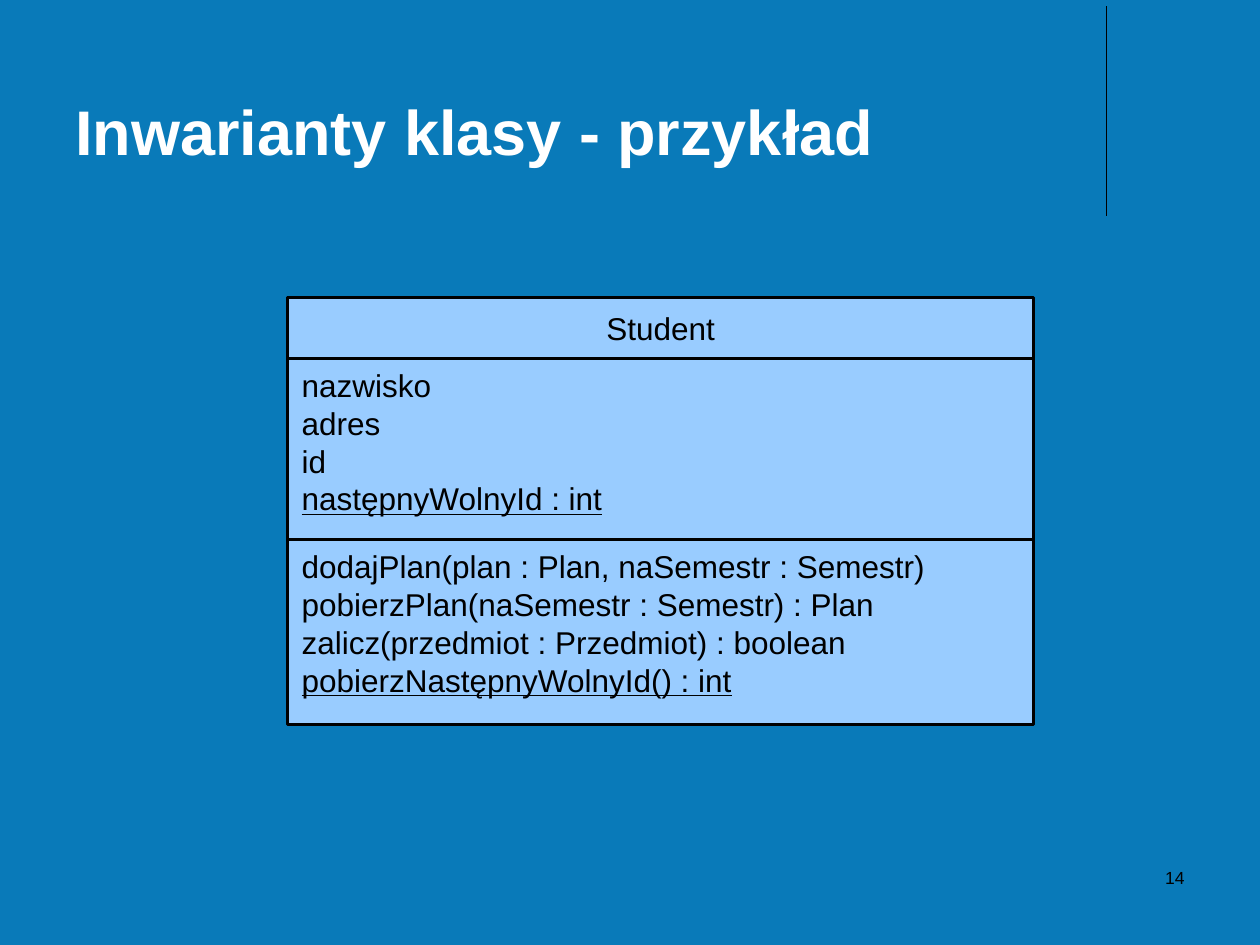
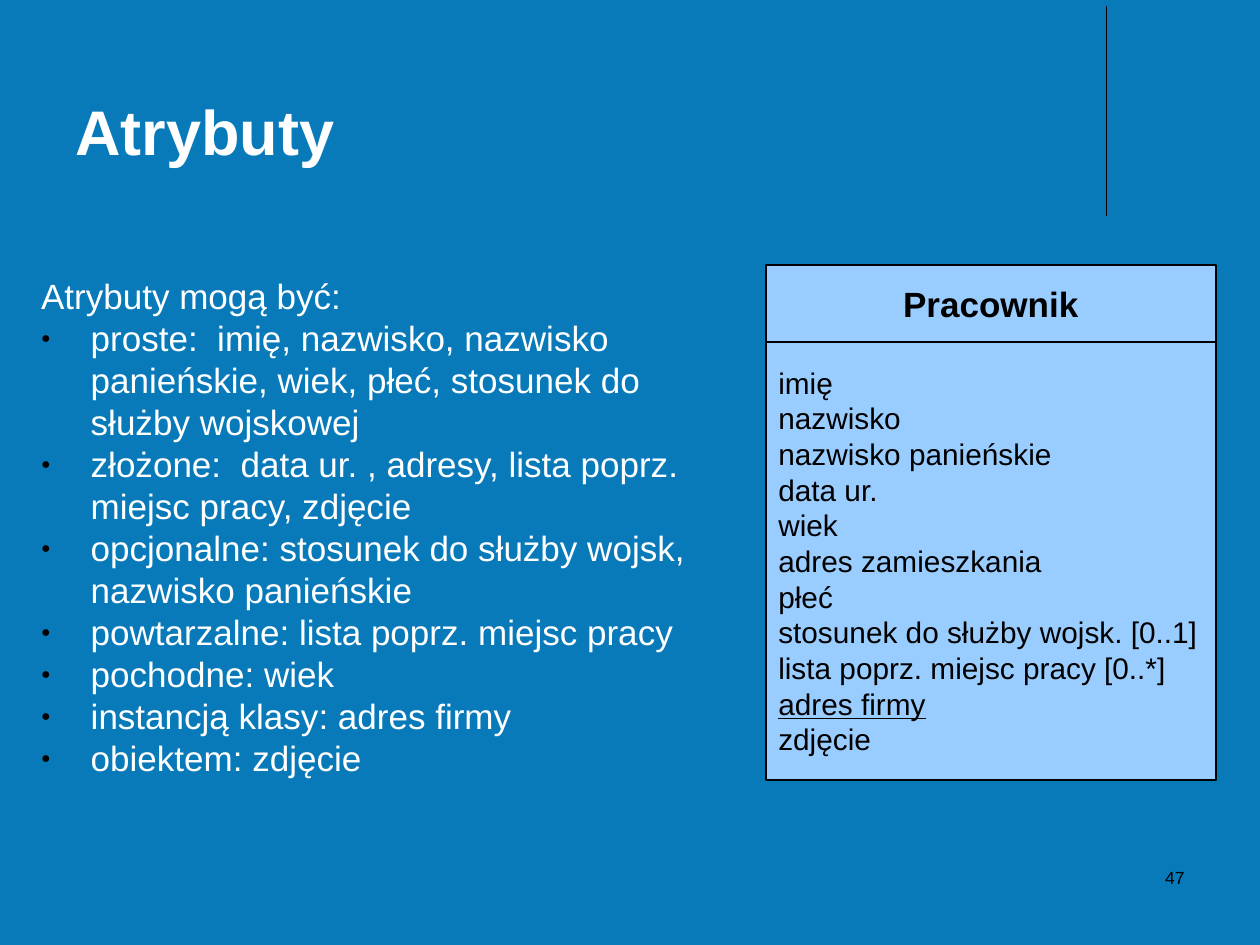
import pptx
import pptx.dml.color
import pptx.enum.shapes
import pptx.enum.text
import pptx.util
from lxml import etree

Cm, Pt = pptx.util.Cm, pptx.util.Pt
RGB = pptx.dml.color.RGBColor.from_string
ALIGN = pptx.enum.text.PP_ALIGN
ANCHOR = pptx.enum.text.MSO_ANCHOR
COLORS = {"background": "097AB9", "box": "99CCFF", "dark": "000000", "light": "FFFFFF"}
FONT = "Arial"
A = "{http://schemas.openxmlformats.org/drawingml/2006/main}"


def write(sp, lines, size, color="dark", bold=False, align=ALIGN.LEFT,
          anchor=ANCHOR.TOP, insets=(0.25, 0.13), underlined=(), bulleted=()):
    tf = sp.text_frame
    tf.word_wrap = True
    tf.vertical_anchor = anchor
    tf.margin_left = tf.margin_right = Cm(insets[0])
    tf.margin_top = tf.margin_bottom = Cm(insets[1])
    for i, line in enumerate(lines):
        p = tf.paragraphs[0] if i == 0 else tf.add_paragraph()
        p.alignment = align
        p.line_spacing = Pt(size * 1.2)
        if line in bulleted:
            pPr = p._p.get_or_add_pPr()
            pPr.set("marL", str(Cm(1)))
            pPr.set("indent", str(-Cm(1)))
            buClr = etree.SubElement(pPr, A + "buClr")
            etree.SubElement(buClr, A + "srgbClr", val=COLORS["dark"])
            etree.SubElement(pPr, A + "buSzPct", val="45000")
            etree.SubElement(pPr, A + "buFont", typeface=FONT)
            etree.SubElement(pPr, A + "buChar", char="●")
        r = p.add_run()
        r.text = line
        r.font.name = FONT
        r.font.size = Pt(size)
        r.font.bold = bold
        r.font.underline = line in underlined
        r.font.color.rgb = RGB(COLORS[color])


def add_box(s, left, top, width, height, border):
    sp = s.shapes.add_shape(pptx.enum.shapes.MSO_SHAPE.RECTANGLE,
                            Cm(left), Cm(top), Cm(width), Cm(height))
    sp.shadow.inherit = False
    sp.fill.solid()
    sp.fill.fore_color.rgb = RGB(COLORS["box"])
    sp.line.color.rgb = RGB(COLORS["dark"])
    sp.line.width = Pt(border)
    return sp


prs = pptx.Presentation()
prs.slide_width, prs.slide_height = Cm(25.4), Cm(19.05)

slides = []
for title, number in [("Inwarianty klasy - przykład", "14"), ("Atrybuty", "47")]:
    s = prs.slides.add_slide(prs.slide_layouts[6])
    s.background.fill.solid()
    s.background.fill.fore_color.rgb = RGB(COLORS["background"])
    rule = s.shapes.add_connector(pptx.enum.shapes.MSO_CONNECTOR.STRAIGHT,
                                  Cm(22.3), Cm(0.13), Cm(22.3), Cm(4.36))
    rule.line.color.rgb = RGB(COLORS["dark"])
    rule.line.width = Pt(0.75)
    etree.SubElement(rule._element.spPr, A + "effectLst")
    write(s.shapes.add_textbox(Cm(1.27), Cm(0.33), Cm(20.95), Cm(3.18)), [title], 36,
          color="light", bold=True, anchor=ANCHOR.BOTTOM)
    write(s.shapes.add_textbox(Cm(18.2), Cm(17.35), Cm(5.93), Cm(1.27)), [number], 10,
          align=ALIGN.RIGHT)
    slides.append(s)

student, attributes = slides

compartments = [
    (6, 1.23, ["Student"], ALIGN.CENTER, ANCHOR.MIDDLE),
    (7.23, 3.65, ["nazwisko", "adres", "id", "następnyWolnyId : int"], ALIGN.LEFT, ANCHOR.TOP),
    (10.88, 3.73, ["dodajPlan(plan : Plan, naSemestr : Semestr)",
                   "pobierzPlan(naSemestr : Semestr) : Plan",
                   "zalicz(przedmiot : Przedmiot) : boolean",
                   "pobierzNastępnyWolnyId() : int"], ALIGN.LEFT, ANCHOR.TOP),
]
for top, height, lines, align, anchor in compartments:
    write(add_box(student, 5.8, top, 15.04, height, 1.42), lines, 18, align=align,
          anchor=anchor, insets=(0.28, 0.15),
          underlined=["następnyWolnyId : int", "pobierzNastępnyWolnyId() : int"])

write(add_box(attributes, 15.44, 5.35, 9.07, 1.54, 1), ["Pracownik"], 20, bold=True,
      align=ALIGN.CENTER, anchor=ANCHOR.MIDDLE)
fields = ["imię", "nazwisko", "nazwisko panieńskie", "data ur.", "wiek",
          "adres zamieszkania", "płeć", "stosunek do służby wojsk. [0..1]",
          "lista poprz. miejsc pracy [0..*]", "adres firmy", "zdjęcie"]
write(add_box(attributes, 15.44, 6.89, 9.07, 8.83, 1), fields, 17,
      anchor=ANCHOR.MIDDLE, underlined=["adres firmy"])

kinds = ["proste:  imię, nazwisko, nazwisko panieńskie, wiek, płeć, stosunek do służby wojskowej",
         "złożone:  data ur. , adresy, lista poprz. miejsc pracy, zdjęcie",
         "opcjonalne: stosunek do służby wojsk, nazwisko panieńskie",
         "powtarzalne: lista poprz. miejsc pracy",
         "pochodne: wiek",
         "instancją klasy: adres firmy",
         "obiektem: zdjęcie"]
write(attributes.shapes.add_textbox(Cm(0.58), Cm(5.41), Cm(14.43), Cm(10.41)),
      ["Atrybuty mogą być:"] + kinds, 20, color="light", bulleted=kinds)

prs.save("out.pptx")
